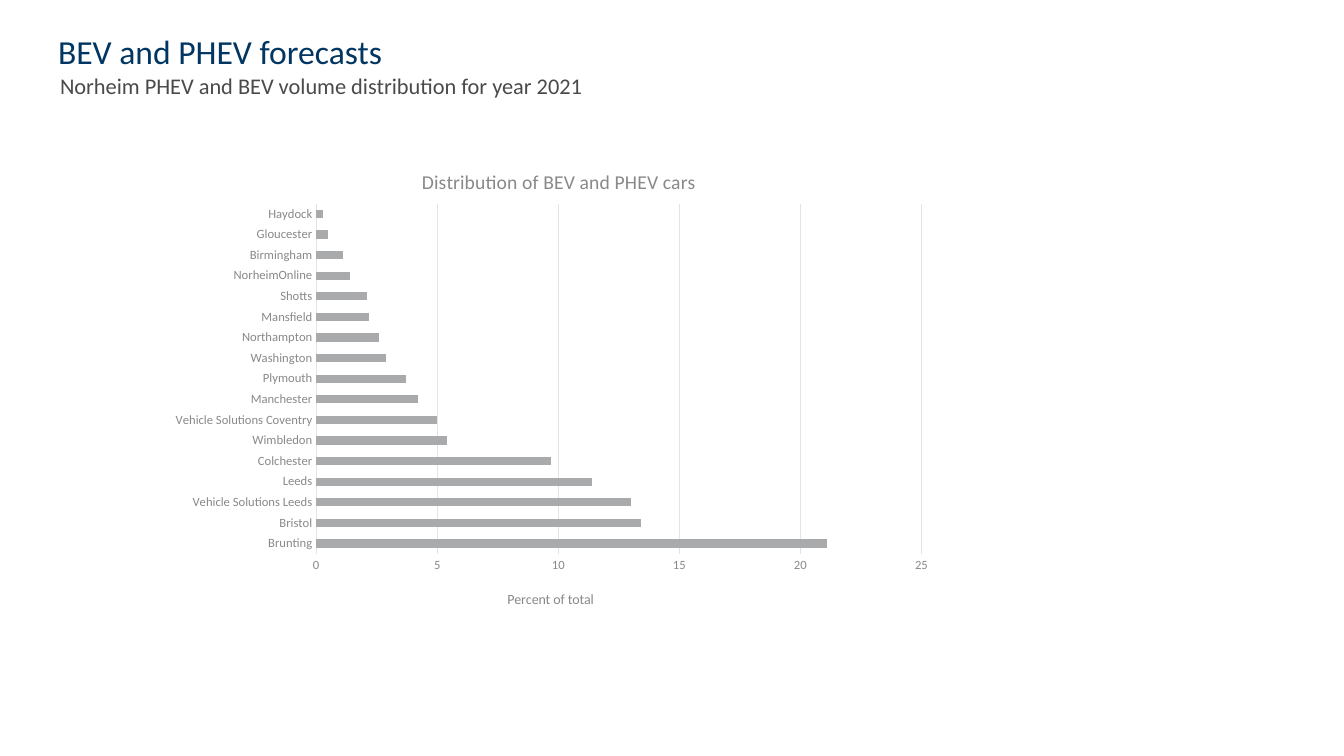
import pptx
import pptx.chart.data
import pptx.dml.color
import pptx.enum.chart
import pptx.enum.text
import pptx.oxml
import pptx.oxml.ns
import pptx.util

RGB = pptx.dml.color.RGBColor
NAVY = RGB(0x00, 0x36, 0x61)
DARK = RGB(0x4A, 0x4A, 0x4A)
GREY = RGB(0x89, 0x89, 0x89)
PALE = RGB(0xE4, 0xE4, 0xE4)
BAR = RGB(0xA8, 0xAA, 0xAC)
FACE = "Calibri"
SCALE = 914400 / 100.8

SHARES = {
    "Brunting": 21.1,
    "Bristol": 13.4,
    "Vehicle Solutions Leeds": 13,
    "Leeds": 11.4,
    "Colchester": 9.7,
    "Wimbledon": 5.4,
    "Vehicle Solutions Coventry": 5,
    "Manchester": 4.2,
    "Plymouth": 3.7,
    "Washington": 2.9,
    "Northampton": 2.6,
    "Mansfield": 2.2,
    "Shotts": 2.1,
    "NorheimOnline": 1.4,
    "Birmingham": 1.1,
    "Gloucester": 0.5,
    "Haydock": 0.3,
}


def px(n):
    return pptx.util.Emu(round(n * SCALE))


def place(node, index, inner=False, **parts):
    """Give a chart part a manual layout, in fractions of the chart."""
    for old in node.findall(pptx.oxml.ns.qn("c:layout")):
        node.remove(old)
    target = '<c:layoutTarget val="inner"/>' if inner else ""
    modes = '<c:xMode val="edge"/><c:yMode val="edge"/>'
    sizes = "".join(f'<c:{k} val="{v}"/>' for k, v in parts.items())
    node.insert(index, pptx.oxml.parse_xml(
        f'<c:layout {pptx.oxml.ns.nsdecls("c")}><c:manualLayout>'
        f"{target}{modes}{sizes}</c:manualLayout></c:layout>"))


class Deck:
    def __init__(self, wide, high):
        self.prs = pptx.Presentation()
        self.prs.slide_width, self.prs.slide_height = px(wide), px(high)
        self.slide = self.prs.slides.add_slide(self.prs.slide_layouts[5])

    def style(self, font, size, color):
        font.name, font.size, font.bold = FACE, pptx.util.Pt(size), False
        font.color.rgb = color

    def fill(self, shape, text, size, color, anchor, pad):
        """Put styled text into a shape."""
        frame = shape.text_frame
        frame.text = text
        frame.word_wrap = True
        frame.auto_size = pptx.enum.text.MSO_AUTO_SIZE.NONE
        frame.vertical_anchor = anchor
        frame.margin_left = frame.margin_right = px(pad)
        para = frame.paragraphs[0]
        para.alignment = pptx.enum.text.PP_ALIGN.LEFT
        self.style(para.runs[0].font, size, color)

    def title(self, text, x, y, w, h):
        shape = self.slide.shapes.title
        shape.left, shape.top, shape.width, shape.height = map(px, (x, y, w, h))
        self.fill(shape, text, 24, NAVY, pptx.enum.text.MSO_ANCHOR.MIDDLE, 13)

    def text(self, text, x, y, w, h):
        shape = self.slide.shapes.add_textbox(*map(px, (x, y, w, h)))
        self.fill(shape, text, 16, DARK, pptx.enum.text.MSO_ANCHOR.TOP, 10)

    def label(self, title, text, size, x, y):
        """Fill and place a chart or axis title."""
        title.text_frame.text = text
        self.style(title.text_frame.paragraphs[0].runs[0].font, size, GREY)
        place(title._element, 1, x=x, y=y)

    def bars(self, name, unit, shares, x, y, w, h):
        data = pptx.chart.data.CategoryChartData()
        data.categories = list(shares)
        data.add_series("Series 1", list(shares.values()))
        kind = pptx.enum.chart.XL_CHART_TYPE.BAR_STACKED
        chart = self.slide.shapes.add_chart(
            kind, *map(px, (x, y, w, h)), data).chart
        self.style(chart.font, 10, DARK)
        chart.has_legend = False
        chart.has_title = True
        self.label(chart.chart_title, name, 14, 0.33, 0.04)

        plot = chart.plots[0]
        plot.gap_width, plot.overlap = 150, 100
        plot.vary_by_categories = False
        paint = plot.series[0].format.fill
        paint.solid()
        paint.fore_color.rgb = BAR
        place(plot._element.getparent(), 0, True, x=0.2, y=0.12, w=0.77, h=0.73)

        cats, vals = chart.category_axis, chart.value_axis
        for axis in (cats, vals):
            axis.major_tick_mark = pptx.enum.chart.XL_TICK_MARK.NONE
            axis.minor_tick_mark = pptx.enum.chart.XL_TICK_MARK.NONE
            self.style(axis.tick_labels.font, 9, GREY)
        vals.minimum_scale, vals.maximum_scale, vals.major_unit = 0, 25, 5
        vals.tick_labels.number_format = "General"
        vals.tick_labels.number_format_is_linked = False
        vals.has_major_gridlines = True
        vals.format.line.fill.background()
        for line in (cats.format.line, vals.major_gridlines.format.line):
            line.color.rgb = PALE
            line.width = pptx.util.Pt(0.75)
        vals.has_title = True
        self.label(vals.axis_title, unit, 10, 0.44, 0.92)


def main():
    deck = Deck(1344, 756)
    deck.title("BEV and PHEV forecasts", 45, 34, 1249, 35)
    deck.text("Norheim PHEV and BEV volume distribution for year 2021",
              50, 67, 1244, 35)
    deck.bars("Distribution of BEV and PHEV cars", "Percent of total", SHARES,
              159, 146, 786, 480)
    deck.prs.save("out.pptx")


if __name__ == "__main__":
    main()
